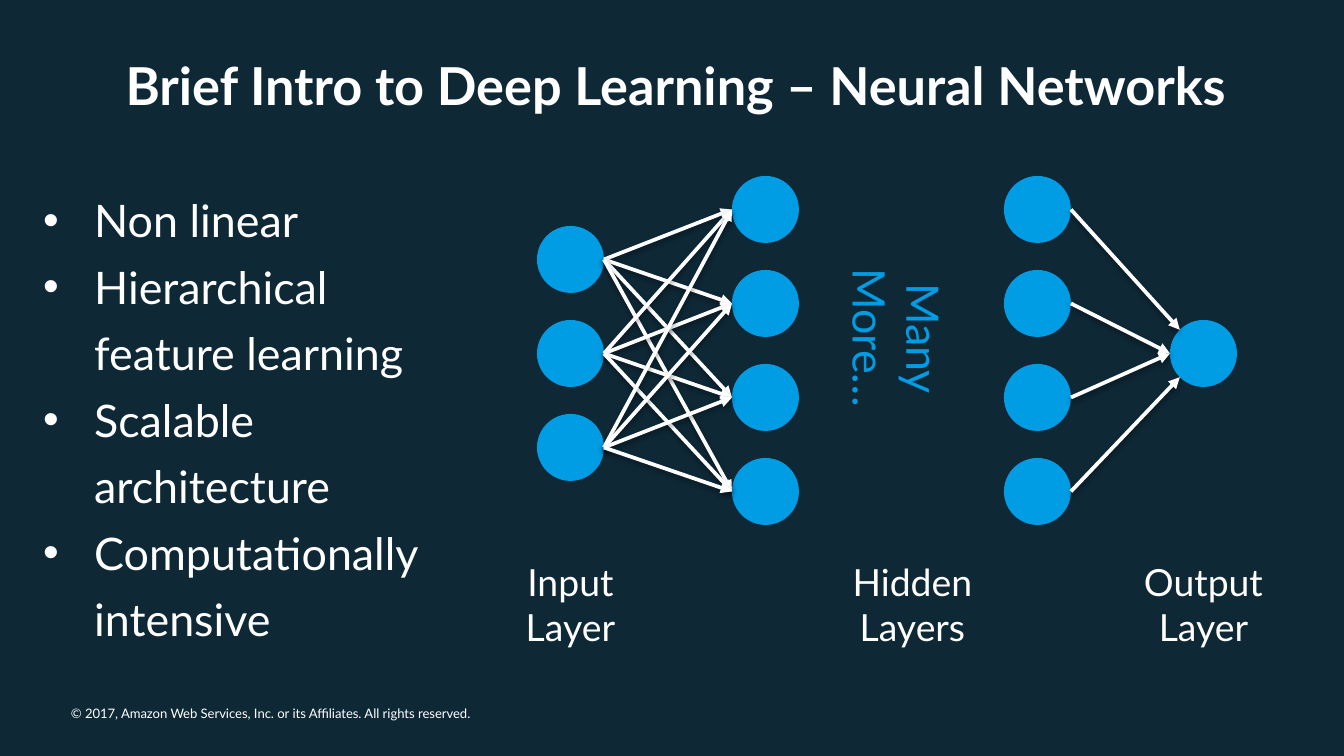
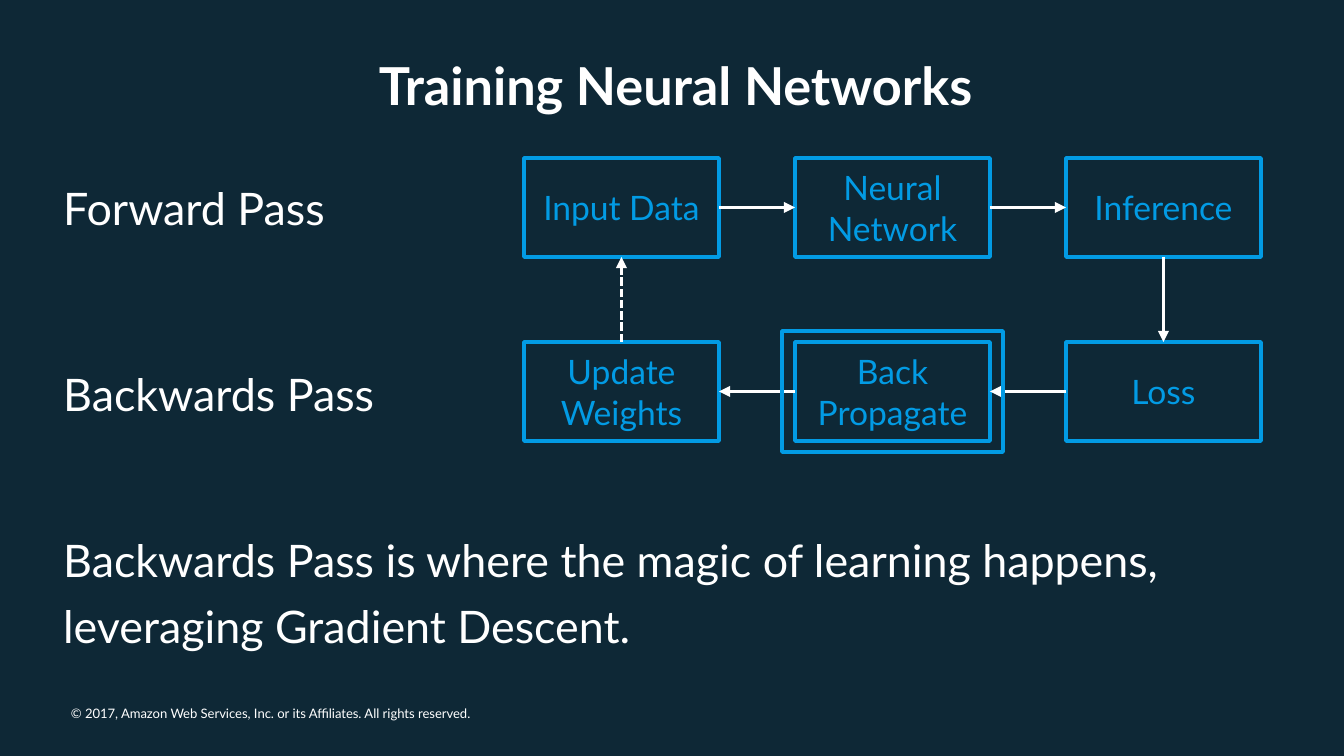
import math

import pptx
import pptx.dml.color
import pptx.enum.dml
import pptx.enum.shapes
import pptx.enum.text
import pptx.oxml
import pptx.oxml.ns
import pptx.util

EMU_PER_PX = 914400 / 134.4
SLIDE_SIZE = (1344, 756)
FONT = "Lato"
NAVY, WHITE, SKY, BLUE = "0E2836", "FFFFFF", "009CE4", "029BE4"
COPYRIGHT = "© 2017, Amazon Web Services, Inc. or its Affiliates. All rights reserved."
BODY = {"size": 24, "spacing": 35.6}

NETWORK_TITLE = "Brief Intro to Deep Learning – Neural Networks"
TRAITS = [
    "Non linear",
    "Hierarchical\nfeature learning",
    "Scalable architecture",
    "Computationally intensive",
]
# Left edge, top of the first node, number of nodes
LAYERS = {
    "input": (537, 226, 3),
    "first hidden": (732, 176, 4),
    "last hidden": (1004, 176, 4),
    "output": (1170, 320, 1),
}
LAYER_LABELS = [(439, "Input\nLayer"), (781, "Hidden\nLayers"), (1072, "Output\nLayer")]
NODE_SIZE, NODE_STEP = 67, 94

TRAINING_TITLE = "Training Neural Networks"
STEPS = [
    ["Input Data", "Neural Network", "Inference"],
    ["Update Weights", "Back Propagate", "Loss"],
]
CYCLE = ["Input Data", "Neural Network", "Inference", "Loss",
         "Back Propagate", "Update Weights", "Input Data"]
TRAINING_TEXTS = [
    (50, 161, 380, "Forward Pass"),
    (50, 347, 380, "Backwards Pass"),
    (50, 513, 1251,
     "Backwards Pass is where the magic of learning happens, leveraging Gradient Descent."),
]
STEP_LEFT, STEP_TOP, STEP_GAP_X, STEP_GAP_Y = 524, 158, 271, 184
STEP_SIZE = (195, 99)
FRAME_MARGIN = (13, 11)
TOP_SITE, LEFT_SITE, BOTTOM_SITE, RIGHT_SITE = range(4)


def px(length):
    return pptx.util.Emu(round(length * EMU_PER_PX))


def color(value):
    return pptx.dml.color.RGBColor.from_string(value)


def add_xml(parent, tag, inner="", **attributes):
    """Append one DrawingML element, given by its tag and attributes."""
    settings = "".join(f' {name}="{value}"' for name, value in attributes.items())
    parent.append(pptx.oxml.parse_xml(
        f'<a:{tag} {pptx.oxml.ns.nsdecls("a")}{settings}>{inner}</a:{tag}>'))


def write(shape, text, size=18, ink=WHITE, bold=False, align="LEFT", anchor="TOP",
          spacing=None, bullet_indent=0, inset=None):
    """Fill a shape with text; a list gives one paragraph per item."""
    frame = shape.text_frame
    frame.word_wrap = True
    frame.vertical_anchor = getattr(pptx.enum.text.MSO_ANCHOR, anchor)
    if inset is not None:
        frame.margin_left = frame.margin_right = px(inset)
        frame.margin_top = frame.margin_bottom = px(inset)
    for index, line in enumerate([text] if isinstance(text, str) else text):
        paragraph = frame.add_paragraph() if index else frame.paragraphs[0]
        paragraph.text = line
        paragraph.alignment = getattr(pptx.enum.text.PP_ALIGN, align)
        if spacing:
            paragraph.line_spacing = pptx.util.Pt(spacing)
        if bullet_indent:
            properties = paragraph._p.get_or_add_pPr()
            properties.set("marL", str(px(bullet_indent)))
            properties.set("indent", str(-px(bullet_indent)))
            add_xml(properties, "buFont", typeface="Arial")
            add_xml(properties, "buChar", char="•")
        for run in paragraph.runs:
            run.font.name = FONT
            run.font.size = pptx.util.Pt(size)
            run.font.bold = bold
            run.font.color.rgb = color(ink)


def add_text(slide, left, top, width, height, text, **text_format):
    box = slide.shapes.add_textbox(px(left), px(top), px(width), px(height))
    write(box, text, **text_format)
    return box


def add_shape(slide, preset, left, top, width, height, fill=None, line=None):
    kind = getattr(pptx.enum.shapes.MSO_SHAPE, preset)
    shape = slide.shapes.add_shape(kind, px(left), px(top), px(width), px(height))
    shape.shadow.inherit = False
    if fill:
        shape.fill.solid()
        shape.fill.fore_color.rgb = color(fill)
    else:
        shape.fill.background()
    if line:
        shape.line.color.rgb = color(line)
        shape.line.width = pptx.util.Pt(2)
    else:
        shape.line.fill.background()
    return shape


def add_arrow(slide, start=(0, 0), end=(0, 0), width=1.5, shadow=False, dashed=False):
    arrow = slide.shapes.add_connector(
        pptx.enum.shapes.MSO_CONNECTOR.STRAIGHT, *map(px, (*start, *end)))
    arrow.line.color.rgb = color(WHITE)
    arrow.line.width = pptx.util.Pt(width)
    if dashed:
        arrow.line.dash_style = pptx.enum.dml.MSO_LINE.SQUARE_DOT
    add_xml(arrow.line._get_or_add_ln(), "tailEnd", type="triangle")
    effect = ""
    if shadow:
        blur, distance = pptx.util.Pt(3.1), pptx.util.Pt(1.6)
        effect = (f'<a:outerShdw blurRad="{blur}" dist="{distance}" dir="5400000" '
                  'rotWithShape="0"><a:srgbClr val="000000"><a:alpha val="38000"/>'
                  '</a:srgbClr></a:outerShdw>')
    add_xml(arrow._element.spPr, "effectLst", effect)
    return arrow


def add_slide(presentation, title):
    slide = presentation.slides.add_slide(presentation.slide_layouts[6])
    add_text(slide, 71, 705, 445, 16, COPYRIGHT, size=7, inset=0)
    add_text(slide, 50, 17, 1251, 136, title, size=28, bold=True,
             align="CENTER", anchor="MIDDLE")
    return slide


def build_network(presentation):
    slide = add_slide(presentation, NETWORK_TITLE)
    radius = NODE_SIZE / 2
    centers = {}
    for layer, (left, top, count) in LAYERS.items():
        tops = [top + row * NODE_STEP for row in range(count)]
        for node_top in tops:
            add_shape(slide, "OVAL", left, node_top, NODE_SIZE, NODE_SIZE, fill=SKY)
        centers[layer] = [(left + radius, node_top + radius) for node_top in tops]

    for x, y in centers["input"]:
        for target_x, target_y in centers["first hidden"]:
            add_arrow(slide, (x + radius, y), (target_x - radius, target_y),
                      width=2, shadow=True)
    output_x, output_y = centers["output"][0]
    # The outer arrows meet the output node on its diagonals
    for (x, y), degrees in zip(centers["last hidden"], (-45, 0, 0, 45)):
        angle = math.radians(degrees)
        end = (output_x - radius * math.cos(angle), output_y + radius * math.sin(angle))
        add_arrow(slide, (x + radius, y), end, width=2, shadow=True)

    for left, label in LAYER_LABELS:
        add_text(slide, left, 559, 263, 90, label, size=20, align="CENTER", anchor="MIDDLE")
    more = add_text(slide, 766, 293, 263, 90, "Many More…", size=24, ink=SKY,
                    align="CENTER", anchor="MIDDLE")
    more.rotation = 90
    add_text(slide, 30, 163, 458, 500, TRAITS, anchor="MIDDLE", bullet_indent=51, **BODY)


def build_training(presentation):
    slide = add_slide(presentation, TRAINING_TITLE)
    for left, top, width, text in TRAINING_TEXTS:
        add_text(slide, left, top, width, 91, text, **BODY)

    boxes, cells = {}, {}
    for row, names in enumerate(STEPS):
        for column, name in enumerate(names):
            left = STEP_LEFT + column * STEP_GAP_X
            top = STEP_TOP + row * STEP_GAP_Y
            boxes[name] = add_shape(slide, "RECTANGLE", left, top, *STEP_SIZE, line=BLUE)
            write(boxes[name], name, ink=BLUE, align="CENTER", anchor="MIDDLE")
            cells[name] = (column, row)

    sites = {
        (1, 0): (RIGHT_SITE, LEFT_SITE),
        (-1, 0): (LEFT_SITE, RIGHT_SITE),
        (0, 1): (BOTTOM_SITE, TOP_SITE),
        (0, -1): (TOP_SITE, BOTTOM_SITE),
    }
    for source, target in zip(CYCLE, CYCLE[1:]):
        direction = tuple(b - a for a, b in zip(cells[source], cells[target]))
        leave, enter = sites[direction]
        arrow = add_arrow(slide, dashed=direction == (0, -1))
        arrow.begin_connect(boxes[source], leave)
        arrow.end_connect(boxes[target], enter)

    column, row = cells["Back Propagate"]
    margin_x, margin_y = FRAME_MARGIN
    add_shape(slide, "RECTANGLE",
              STEP_LEFT + column * STEP_GAP_X - margin_x,
              STEP_TOP + row * STEP_GAP_Y - margin_y,
              STEP_SIZE[0] + 2 * margin_x, STEP_SIZE[1] + 2 * margin_y, line=BLUE)


def main():
    presentation = pptx.Presentation()
    presentation.slide_width, presentation.slide_height = map(px, SLIDE_SIZE)
    background = presentation.slide_master.background.fill
    background.solid()
    background.fore_color.rgb = color(NAVY)
    build_network(presentation)
    build_training(presentation)
    presentation.save("out.pptx")


if __name__ == "__main__":
    main()
